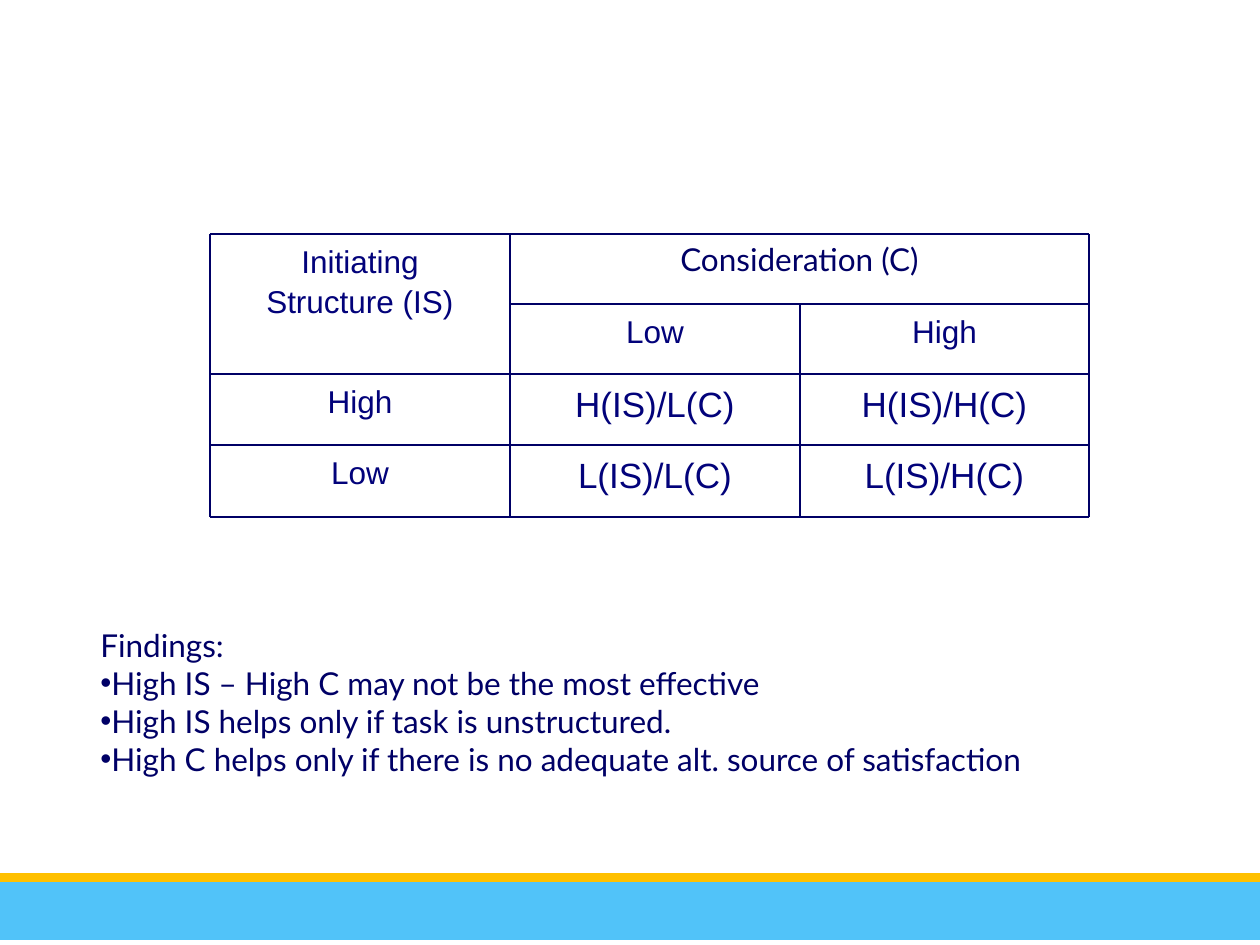
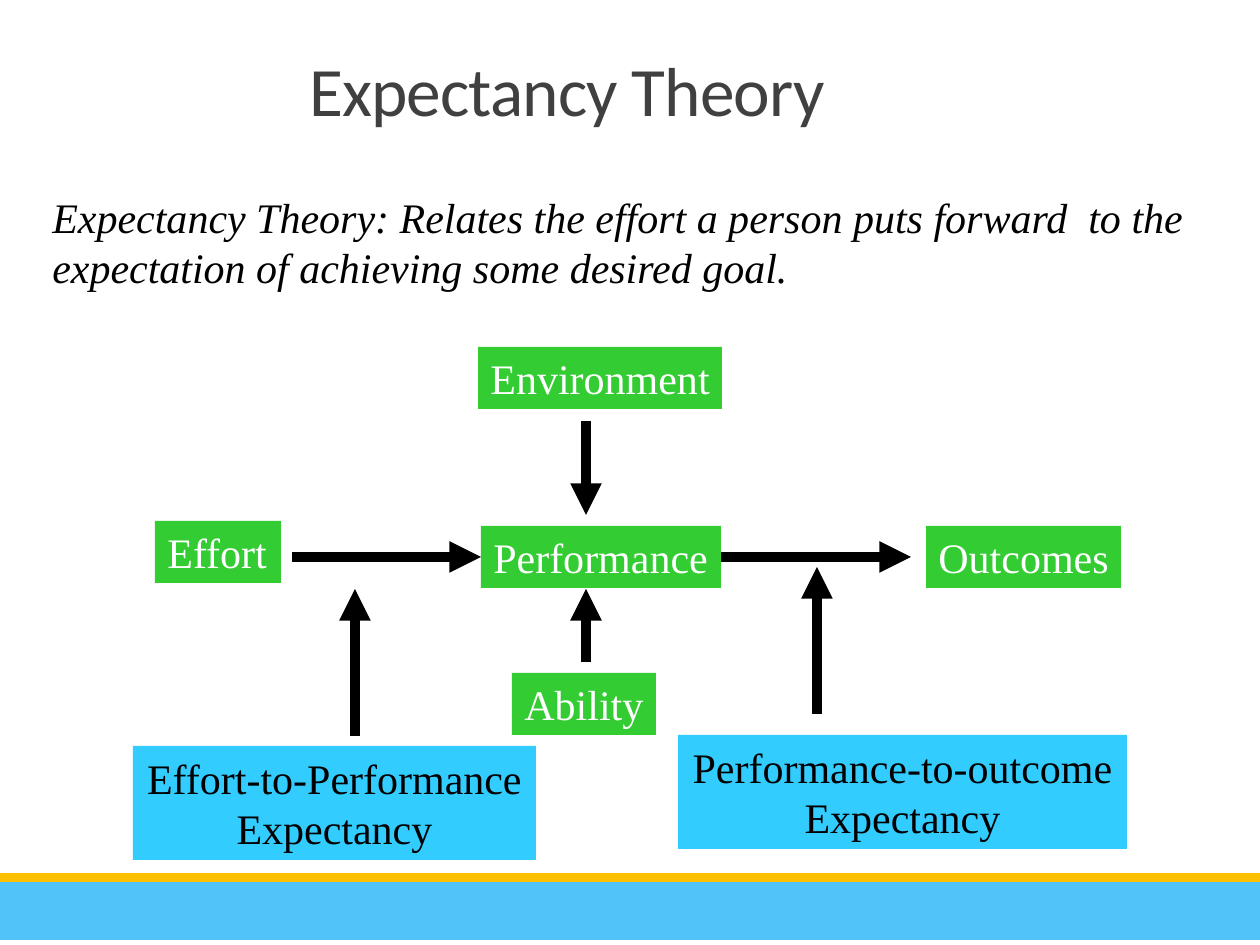
from lxml.etree import SubElement
from pptx import Presentation
from pptx.dml.color import RGBColor
from pptx.enum.shapes import MSO_CONNECTOR, MSO_SHAPE
from pptx.enum.text import MSO_ANCHOR, PP_ALIGN
from pptx.oxml.ns import qn
from pptx.util import Emu, Pt

# Shared measures: 126 px to the inch
EMU_PER_PX = 914400 / 126
SLIDE_WIDTH, SLIDE_HEIGHT = 1260, 945
TITLE_ONLY, BLANK = 5, 6

# Shared colours and fonts
SKY = RGBColor(0x51, 0xC3, 0xF9)
AMBER = RGBColor(0xFF, 0xC0, 0x00)
NAVY = RGBColor(0x00, 0x00, 0x66)
INDIGO = RGBColor(0x02, 0x02, 0x7A)
GREEN = RGBColor(0x33, 0xCC, 0x33)
CYAN = RGBColor(0x33, 0xCC, 0xFF)
GREY = RGBColor(0x40, 0x40, 0x40)
BLACK = RGBColor(0, 0, 0)
WHITE = RGBColor(0xFF, 0xFF, 0xFF)
SERIF = "Times New Roman"


def px(length):
    return Emu(round(length * EMU_PER_PX))


def write_text(frame, text, font="Arial", size=18, color=BLACK, italic=False,
               align=PP_ALIGN.LEFT, line_spacing=None, tracking=None):
    """Write one paragraph for each line of text."""
    for index, line in enumerate(text.split("\n")):
        paragraph = frame.paragraphs[0] if index == 0 else frame.add_paragraph()
        paragraph.alignment = align
        if line_spacing:
            paragraph.line_spacing = line_spacing
        run = paragraph.add_run()
        run.text = line
        run.font.name = font
        run.font.size = Pt(size)
        run.font.italic = italic
        run.font.color.rgb = color
        if tracking:
            run.font._element.set("spc", str(round(tracking * 100)))


def add_text(slide, box, text, **text_format):
    shape = slide.shapes.add_textbox(*map(px, box))
    shape.text_frame.word_wrap = True
    write_text(shape.text_frame, text, **text_format)
    return shape


def add_rectangle(slide, box, fill):
    shape = slide.shapes.add_shape(MSO_SHAPE.RECTANGLE, *map(px, box))
    shape.shadow.inherit = False
    shape.fill.solid()
    shape.fill.fore_color.rgb = fill
    shape.line.fill.background()
    return shape


def add_line(slide, start, end, color, width):
    line = slide.shapes.add_connector(MSO_CONNECTOR.STRAIGHT, *map(px, start + end))
    line.line.color.rgb = color
    line.line.width = Pt(width)
    SubElement(line._element.spPr, qn("a:effectLst"))
    return line


def add_bands(slide):
    add_rectangle(slide, (0, 877, SLIDE_WIDTH, 63), SKY)
    add_rectangle(slide, (0, 873, SLIDE_WIDTH, 9), AMBER)


def set_title(slide, box, text):
    title = slide.shapes.title
    title.left, title.top, title.width, title.height = map(px, box)
    title.text_frame.vertical_anchor = MSO_ANCHOR.BOTTOM
    write_text(title.text_frame, text, font="Calibri", size=39.6, color=GREY,
               align=PP_ALIGN.CENTER, line_spacing=0.85, tracking=-0.5)


def add_bullet(paragraph):
    properties = paragraph._p.get_or_add_pPr()
    properties.set("marL", "0")
    properties.set("indent", "0")
    SubElement(properties, qn("a:buFont"), typeface="Arial")
    SubElement(properties, qn("a:buChar"), char="•")


# Slide 1: leadership matrix, ruled with lines
def add_matrix(slide, left, top):
    columns = [left + x for x in (0, 300, 590, 879)]
    rows = [top + y for y in (0, 70, 140, 211, 283)]

    def add_label(text, column, row, column_span=1, row_span=1, **text_format):
        x, y = columns[column], rows[row]
        box = (x, y, columns[column + column_span] - x, rows[row + row_span] - y)
        label_format = dict(color=INDIGO, line_spacing=1.06) | text_format
        add_text(slide, box, text, align=PP_ALIGN.CENTER, **label_format)

    # Headings
    add_label("Initiating\nStructure (IS)", 0, 0, row_span=2)
    add_label("Consideration (C)", 1, 0, column_span=2,
              font="Lato", color=NAVY, line_spacing=1)

    # Levels and their combinations
    levels = ("Low", "High")
    for column, consideration in enumerate(levels, 1):
        add_label(consideration, column, 1)
    for row, structure in enumerate(reversed(levels), 2):
        add_label(structure, 0, row)
        for column, consideration in enumerate(levels, 1):
            add_label(f"{structure[0]}(IS)/{consideration[0]}(C)", column, row, size=20)

    # Rules: the second row and the third column start inside the heading
    for index, y in enumerate(rows):
        start = columns[1] if index == 1 else columns[0]
        add_line(slide, (start, y), (columns[-1], y), NAVY, 1.5)
    for index, x in enumerate(columns):
        start = rows[1] if index == 2 else rows[0]
        add_line(slide, (x, start), (x, rows[-1]), NAVY, 1.5)


def add_findings(slide, box):
    findings = ("Findings:\n"
                "High IS – High C may not be the most effective\n"
                "High IS helps only if task is unstructured.\n"
                "High C helps only if there is no adequate alt. source of satisfaction")
    shape = add_text(slide, box, findings, font="Lato", color=NAVY)
    for paragraph in shape.text_frame.paragraphs[1:]:
        add_bullet(paragraph)


def build_matrix_slide(presentation):
    slide = presentation.slides.add_slide(presentation.slide_layouts[BLANK])
    add_bands(slide)
    add_findings(slide, (88, 620, 1092, 165))
    add_matrix(slide, 210, 234)


# Slide 2: expectancy diagram
def add_node(slide, box, text, fill, color, align):
    node = add_rectangle(slide, box, fill)
    node.text_frame.word_wrap = False
    write_text(node.text_frame, text, font=SERIF, size=24, color=color, align=align)
    return node


def add_arrow(slide, start, end):
    arrow = add_line(slide, start, end, BLACK, 6)
    SubElement(arrow.line._get_or_add_ln(), qn("a:tailEnd"), type="triangle")
    return arrow


def add_diagram(slide, left, top):
    # Factors: left, top and width inside the diagram
    factors = {
        "Effort": (22, 174, 126),
        "Performance": (348, 179, 240),
        "Outcomes": (793, 179, 195),
        "Environment": (345, 0, 244),
        "Ability": (379, 326, 144),
    }
    nodes = {}
    for name, (x, y, width) in factors.items():
        nodes[name] = add_node(slide, (left + x, top + y, width, 62), name,
                               GREEN, WHITE, PP_ALIGN.LEFT)

    # Expectancies
    expectancies = {
        "Effort-to-Performance": (0, 399, 403),
        "Performance-to-outcome": (545, 388, 449),
    }
    for name, (x, y, width) in expectancies.items():
        add_node(slide, (left + x, top + y, width, 114), f"{name}\nExpectancy",
                 CYAN, BLACK, PP_ALIGN.CENTER)

    # Horizontal arrows, joined to the sides of Performance
    flow_y = top + 210
    effort_arrow = add_arrow(slide, (left + 159, flow_y), (left + 348, flow_y))
    effort_arrow.end_connect(nodes["Performance"], 1)
    outcome_arrow = add_arrow(slide, (left + 588, flow_y), (left + 778, flow_y))
    outcome_arrow.begin_connect(nodes["Performance"], 3)

    # Vertical arrows: x, start and end
    for x, start, end in ((222, 389, 242), (684, 367, 220),
                          (453, 315, 242), (453, 74, 168)):
        add_arrow(slide, (left + x, top + start), (left + x, top + end))


def build_expectancy_slide(presentation):
    slide = presentation.slides.add_slide(presentation.slide_layouts[TITLE_ONLY])
    add_bands(slide)
    set_title(slide, (0, 46, 1134, 91), "Expectancy Theory")
    add_text(slide, (40, 185, 1220, 115),
             "Expectancy Theory: Relates the effort a person puts forward  to the "
             "expectation of achieving some desired goal.",
             font=SERIF, size=24, italic=True)
    add_diagram(slide, 133, 347)


def main():
    presentation = Presentation()
    presentation.slide_width = px(SLIDE_WIDTH)
    presentation.slide_height = px(SLIDE_HEIGHT)
    build_matrix_slide(presentation)
    build_expectancy_slide(presentation)
    presentation.save("out.pptx")


if __name__ == "__main__":
    main()
